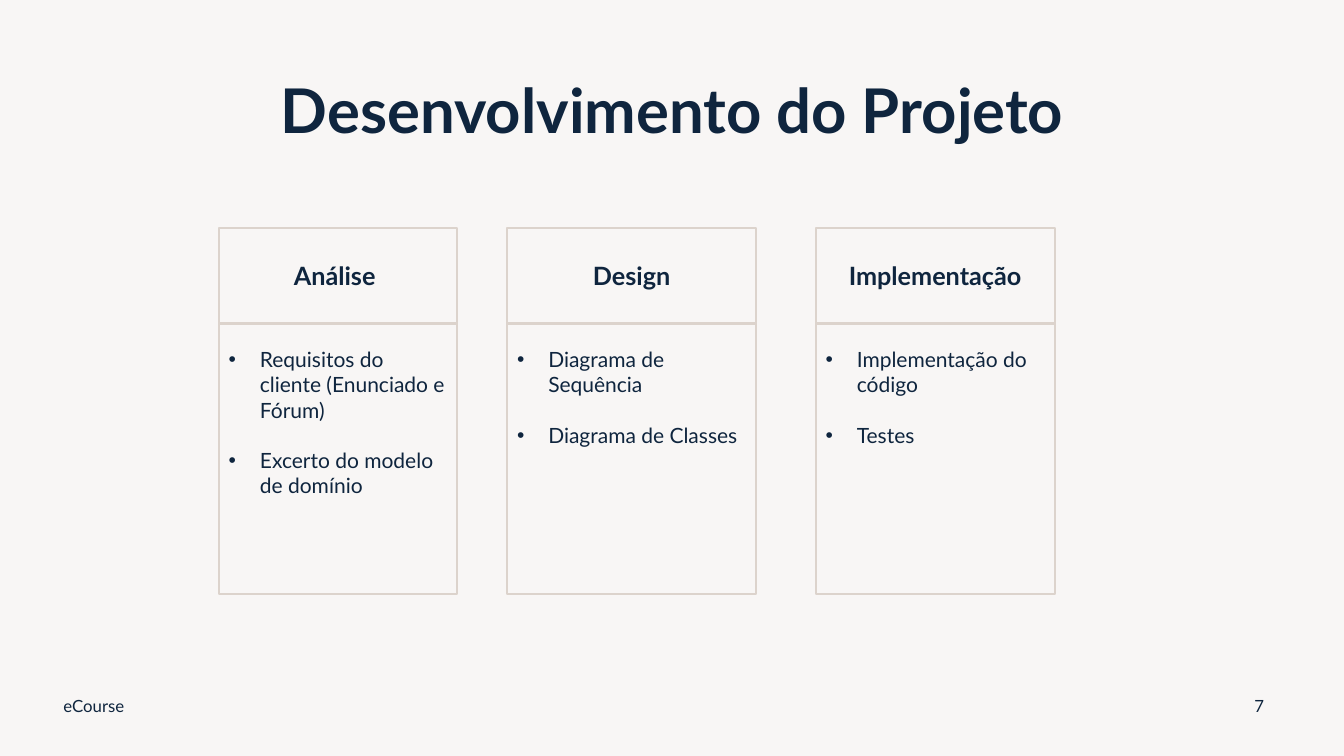
from dataclasses import dataclass

from lxml import etree
from pptx import Presentation
from pptx.dml.color import RGBColor
from pptx.enum import shapes, text
from pptx.oxml import ns
from pptx.util import Inches, Pt

NAVY = RGBColor(0x0F, 0x25, 0x3E)
SAND = RGBColor(0xDC, 0xD3, 0xCC)
PALE_SAND = RGBColor(0xF8, 0xF6, 0xF5)
FONT = "Lato"

HEADING_TOP, HEADING_HEIGHT = 2.26, 0.95
DETAIL_TOP, DETAIL_HEIGHT = 3.2, 2.69
BULLET_INDENT = Inches(0.31)


@dataclass
class Phase:
    heading: str
    left: float
    width: float
    activities: list[str]


@dataclass
class Caption:
    wording: str
    left: float
    top: float
    width: float
    height: float
    size: int
    align: text.PP_ALIGN
    bold: bool = False
    line_spacing: float = 1.0


PHASES = [
    Phase("Análise ", 2.17, 2.36,
          ["Requisitos do cliente (Enunciado e Fórum)", "Excerto do modelo de domínio"]),
    Phase("Design", 5.03, 2.47, ["Diagrama de Sequência", "Diagrama de Classes"]),
    Phase("Implementação", 8.09, 2.37, ["Implementação do código", "Testes"]),
]

CAPTIONS = [
    Caption("Desenvolvimento do Projeto", 0.92, 0.4, 11.5, 1.45, 44,
            text.PP_ALIGN.CENTER, bold=True, line_spacing=0.9),
    Caption("eCourse", 0.53, 6.8, 4.5, 0.4, 12, text.PP_ALIGN.LEFT),
    Caption("7", 12.24, 6.8, 0.5, 0.4, 12, text.PP_ALIGN.CENTER),
]


def style_runs(paragraph, size: int, bold: bool = False) -> None:
    for run in paragraph.runs:
        run.font.name = FONT
        run.font.size = Pt(size)
        run.font.bold = bold
        run.font.color.rgb = NAVY


def add_bullet(paragraph) -> None:
    properties = paragraph._p.get_or_add_pPr()
    properties.set("marL", str(BULLET_INDENT))
    properties.set("indent", str(-BULLET_INDENT))
    etree.SubElement(properties, ns.qn("a:buFont")).set("typeface", "Arial")
    etree.SubElement(properties, ns.qn("a:buChar")).set("char", "•")


def add_outlined_box(slide, phase: Phase, top: float, height: float):
    box = slide.shapes.add_shape(
        shapes.MSO_SHAPE.RECTANGLE,
        Inches(phase.left), Inches(top), Inches(phase.width), Inches(height))
    box.shadow.inherit = False
    box.fill.background()
    box.line.color.rgb = SAND
    box.line.width = Pt(1.5)
    box.text_frame.word_wrap = True
    return box


def add_phase_detail(slide, phase: Phase) -> None:
    frame = add_outlined_box(slide, phase, DETAIL_TOP, DETAIL_HEIGHT).text_frame
    frame.margin_top = Inches(0.24)
    frame.vertical_anchor = text.MSO_ANCHOR.TOP
    frame.text = "\n".join(phase.activities)
    for index, activity in enumerate(frame.paragraphs):
        activity.alignment = text.PP_ALIGN.LEFT
        activity.space_before = Pt(18 if index else 0)
        add_bullet(activity)
        style_runs(activity, 15)


def add_phase_heading(slide, phase: Phase) -> None:
    frame = add_outlined_box(slide, phase, HEADING_TOP, HEADING_HEIGHT).text_frame
    frame.vertical_anchor = text.MSO_ANCHOR.MIDDLE
    frame.text = phase.heading
    heading = frame.paragraphs[0]
    heading.alignment = text.PP_ALIGN.CENTER
    heading.space_before = Pt(10)
    style_runs(heading, 18, bold=True)


def add_caption(slide, caption: Caption) -> None:
    frame = slide.shapes.add_textbox(
        Inches(caption.left), Inches(caption.top),
        Inches(caption.width), Inches(caption.height)).text_frame
    frame.word_wrap = True
    frame.vertical_anchor = text.MSO_ANCHOR.MIDDLE
    frame.text = caption.wording
    line = frame.paragraphs[0]
    line.alignment = caption.align
    line.line_spacing = caption.line_spacing
    style_runs(line, caption.size, caption.bold)


def main() -> None:
    deck = Presentation()
    deck.slide_width, deck.slide_height = Inches(13.33), Inches(7.5)
    slide = deck.slides.add_slide(deck.slide_layouts[6])
    slide.background.fill.solid()
    slide.background.fill.fore_color.rgb = PALE_SAND
    for phase in PHASES:
        add_phase_detail(slide, phase)
        add_phase_heading(slide, phase)
    for caption in CAPTIONS:
        add_caption(slide, caption)
    deck.save("out.pptx")


if __name__ == "__main__":
    main()
